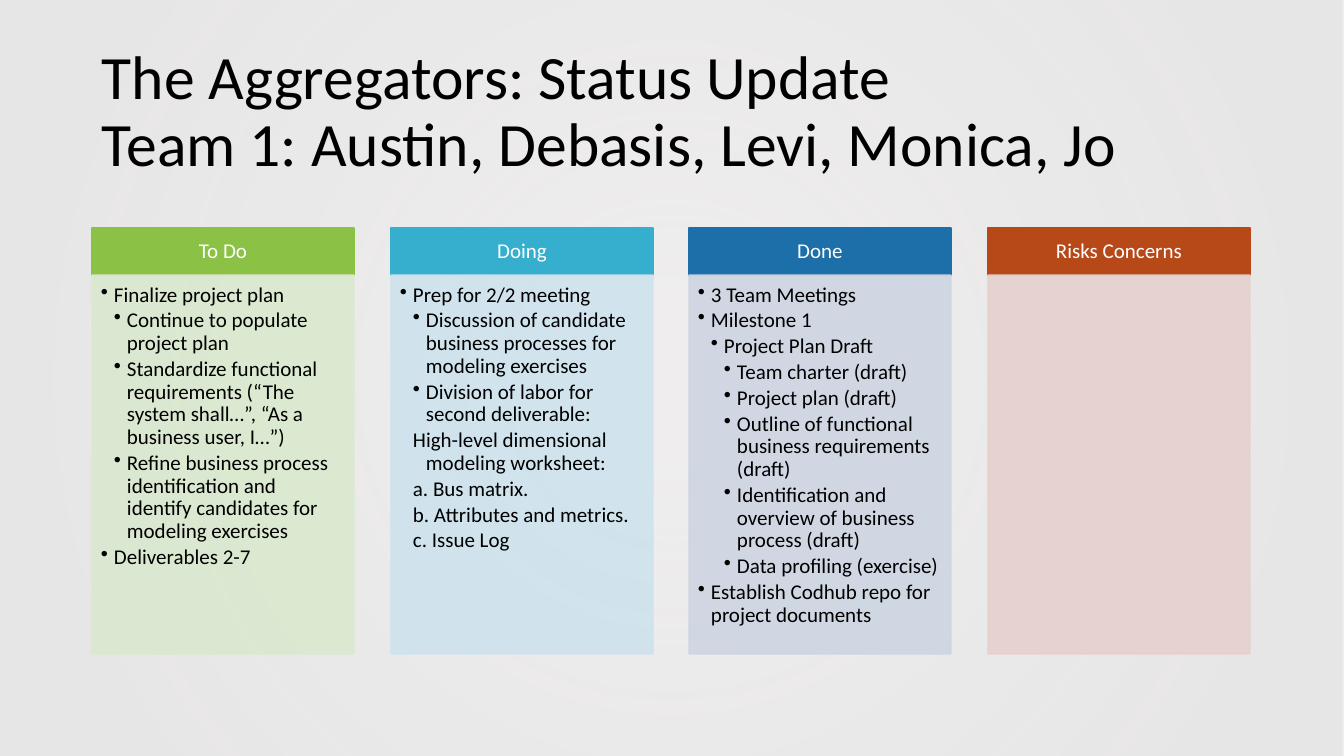
"""Build the four-column status update slide."""
from dataclasses import dataclass
from typing import Any

from lxml.etree import SubElement
from pptx import Presentation
from pptx.dml.color import RGBColor
from pptx.enum.shapes import MSO_SHAPE
from pptx.enum.text import MSO_ANCHOR, PP_ALIGN
from pptx.oxml import parse_xml
from pptx.oxml.ns import nsdecls, qn
from pptx.util import Pt

EMU_PER_PX = 914400 / 100.8
SLIDE_WIDTH, SLIDE_HEIGHT = 1344, 756
BOARD_LEFT, COLUMN_SPAN, COLUMN_WIDTH = 92, 896, 262
HEADING_TOP, HEADING_HEIGHT = 228, 47
BODY_TOP, BODY_HEIGHT = 275, 379
INDENT = 13

COLORS = {
    "backdrop": "E7E6E6", "black": "000000", "white": "FFFFFF",
    "todo": "8BC145", "todo_light": "DAE9CF",
    "doing": "36AFCE", "doing_light": "CEE3ED",
    "done": "1D6FA9", "done_light": "CDD5E2",
    "risks": "B74919", "risks_light": "E6D0CC",
}


@dataclass(frozen=True)
class Item:
    text: str
    level: int = 1
    bullet: bool = True


@dataclass(frozen=True)
class Column:
    heading: str
    color: str
    items: tuple[Item, ...] = ()


COLUMNS = (
    Column("To Do", "todo", (
        Item("Finalize project plan"),
        Item("Continue to populate project plan", 2),
        Item("Standardize functional requirements (“The system shall…”, “As a business user, I…”)", 2),
        Item("Refine business process identification and identify candidates for modeling exercises", 2),
        Item("Deliverables 2-7"),
    )),
    Column("Doing", "doing", (
        Item("Prep for 2/2 meeting"),
        Item("Discussion of candidate business processes for modeling exercises", 2),
        Item("Division of labor for second deliverable:", 2),
        Item("High-level dimensional modeling worksheet:", 2, False),
        Item("a. Bus matrix.", 2, False),
        Item("b. Attributes and metrics.", 2, False),
        Item("c. Issue Log", 2, False),
    )),
    Column("Done", "done", (
        Item("3 Team Meetings"),
        Item("Milestone 1"),
        Item("Project Plan Draft", 2),
        Item("Team charter (draft)", 3),
        Item("Project plan (draft)", 3),
        Item("Outline of functional business requirements (draft)", 3),
        Item("Identification and overview of business process (draft)", 3),
        Item("Data profiling (exercise)", 3),
        Item("Establish Codhub repo for project documents"),
    )),
    Column("Risks Concerns", "risks"),
)


def px(length: int) -> int:
    return round(length * EMU_PER_PX)


def apply_format(target: Any, values: dict[str, Any]) -> None:
    for name, value in values.items():
        setattr(target, name, value)


def format_frame(frame: Any, anchor: Any, insets: tuple[int, int, int, int]) -> None:
    sides = ("margin_left", "margin_top", "margin_right", "margin_bottom")
    margins = dict(zip(sides, map(px, insets)))
    apply_format(frame, {"word_wrap": True, "vertical_anchor": anchor, **margins})


def write_paragraph(paragraph: Any, text: str, size: int, color: str, align: Any = PP_ALIGN.LEFT) -> None:
    paragraph.text = text
    apply_format(paragraph, {"alignment": align, "line_spacing": 0.9})
    for run in paragraph.runs:
        apply_format(run.font, {"name": "Calibri", "size": Pt(size)})
        run.font.color.rgb = RGBColor.from_string(COLORS[color])


def add_panel(slide: Any, left: int, top: int, width: int, height: int, color: str, opacity: int = 100) -> Any:
    panel = slide.shapes.add_shape(MSO_SHAPE.RECTANGLE, px(left), px(top), px(width), px(height))
    panel.shadow.inherit = False
    panel.line.width = Pt(1)
    for fill in (panel.fill, panel.line.fill):
        fill.solid()
        fill.fore_color.rgb = RGBColor.from_string(COLORS[color])
    if opacity < 100:
        for tint in panel._element.spPr.iter(qn("a:srgbClr")):
            SubElement(tint, qn("a:alpha"), val=str(opacity * 1000))
    return panel


def add_backdrop(slide: Any) -> None:
    backdrop = add_panel(slide, 0, 0, SLIDE_WIDTH, SLIDE_HEIGHT, "backdrop")
    backdrop.line.fill.background()
    stops = "".join(
        f'<a:gs pos="{position}000"><a:srgbClr val="{COLORS["backdrop"]}">'
        f'<a:alpha val="{opacity}000"/></a:srgbClr></a:gs>'
        for position, opacity in ((10, 68), (85, 97))
    )
    gradient = parse_xml(
        f'<a:gradFill {nsdecls("a")}><a:gsLst>{stops}</a:gsLst><a:path path="circle">'
        '<a:fillToRect l="50000" t="50000" r="50000" b="50000"/></a:path></a:gradFill>'
    )
    properties = backdrop._element.spPr
    properties.replace(properties.find(qn("a:solidFill")), gradient)


def add_title(slide: Any) -> None:
    title = slide.shapes.add_textbox(px(92), px(40), px(1159), px(146))
    format_frame(title.text_frame, MSO_ANCHOR.MIDDLE, (10, 5, 10, 5))
    text = "The Aggregators: Status Update\vTeam 1: Austin, Debasis, Levi, Monica, Jo"
    write_paragraph(title.text_frame.paragraphs[0], text, 44, "black")


def write_item(paragraph: Any, item: Item) -> None:
    write_paragraph(paragraph, item.text, 15, "black")
    apply_format(paragraph, {"level": item.level, "space_after": Pt(2.25)})
    properties = paragraph._p.get_or_add_pPr()
    properties.set("marL", str(px(INDENT * item.level)))
    properties.set("indent", str(-px(INDENT)))
    if item.bullet:
        SubElement(properties, qn("a:buChar"), char="•")
    else:
        SubElement(properties, qn("a:buNone"))


def add_column(slide: Any, column: Column, left: int) -> None:
    heading = add_panel(slide, left, HEADING_TOP, COLUMN_WIDTH, HEADING_HEIGHT, column.color)
    format_frame(heading.text_frame, MSO_ANCHOR.MIDDLE, (12, 7, 12, 7))
    write_paragraph(heading.text_frame.paragraphs[0], column.heading, 15, "white", PP_ALIGN.CENTER)
    body = add_panel(slide, left, BODY_TOP, COLUMN_WIDTH, BODY_HEIGHT, f"{column.color}_light", 90)
    frame = body.text_frame
    format_frame(frame, MSO_ANCHOR.TOP, (9, 9, 12, 13))
    for index, item in enumerate(column.items):
        write_item(frame.add_paragraph() if index else frame.paragraphs[0], item)


def main() -> None:
    presentation = Presentation()
    apply_format(presentation, {"slide_width": px(SLIDE_WIDTH), "slide_height": px(SLIDE_HEIGHT)})
    slide = presentation.slides.add_slide(presentation.slide_layouts[6])
    add_backdrop(slide)
    add_title(slide)
    for index, column in enumerate(COLUMNS):
        add_column(slide, column, BOARD_LEFT + round(COLUMN_SPAN * index / (len(COLUMNS) - 1)))
    presentation.save("out.pptx")


if __name__ == "__main__":
    main()
